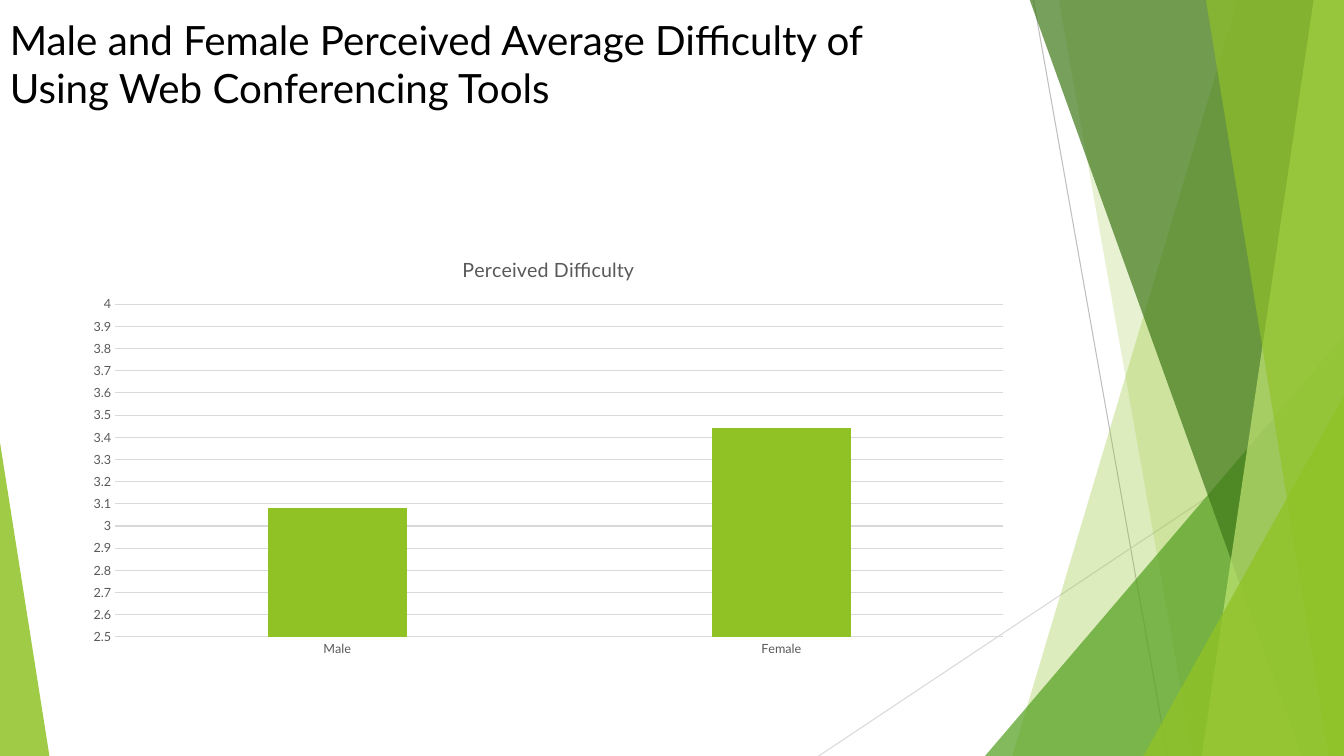
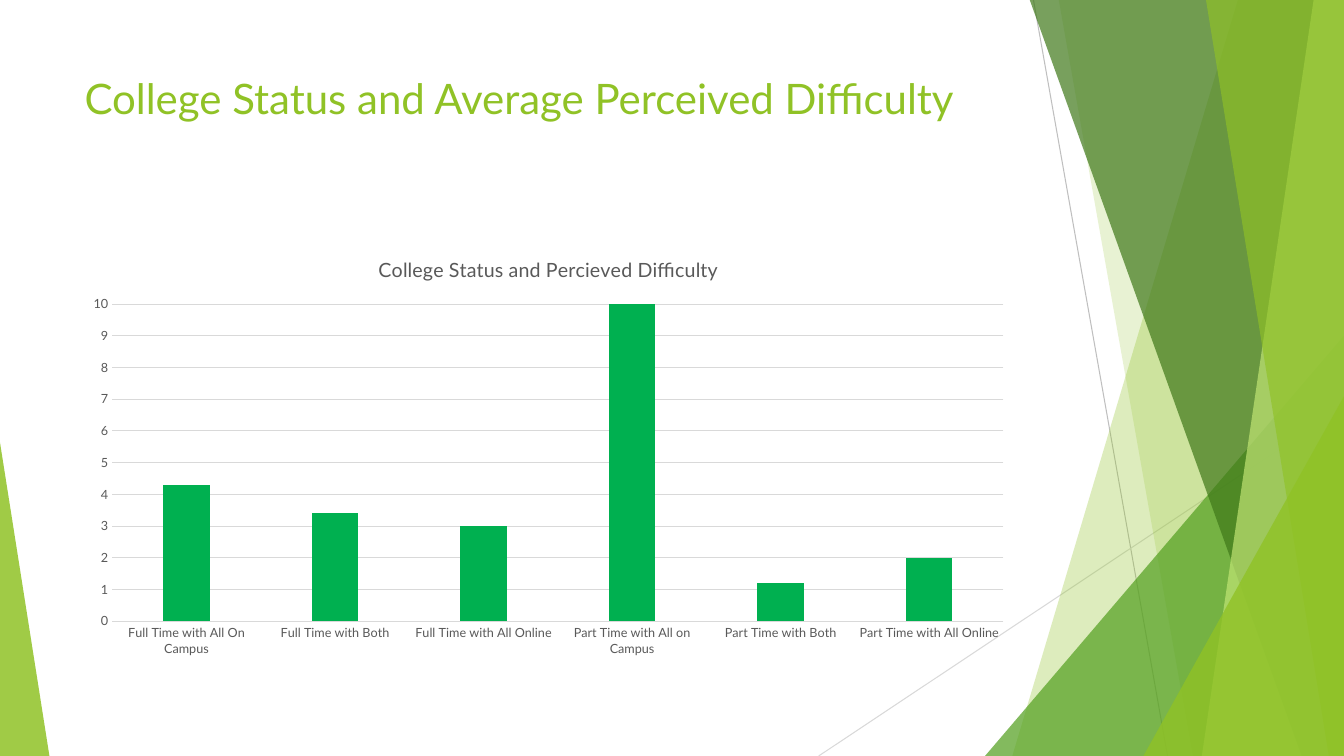
from lxml.etree import SubElement
from pptx import Presentation
from pptx.chart.data import CategoryChartData
from pptx.dml.color import RGBColor
from pptx.enum.chart import XL_CHART_TYPE as ChartType, XL_TICK_MARK as TickMark
from pptx.enum.shapes import MSO_CONNECTOR as Connector, MSO_SHAPE as Shape
from pptx.enum.text import MSO_ANCHOR as Anchor
from pptx.oxml.ns import qn
from pptx.util import Inches, Pt

BLACK = RGBColor(0x00, 0x00, 0x00)
LIME = RGBColor(0x90, 0xC2, 0x26)
PALE_LIME = RGBColor(0xC0, 0xE4, 0x74)
GREEN = RGBColor(0x54, 0xA0, 0x21)
DARK_GREEN = RGBColor(0x3F, 0x78, 0x19)
EMERALD = RGBColor(0x00, 0xB0, 0x50)
TEXT_GRAY = RGBColor(0x59, 0x59, 0x59)
LINE_GRAY = RGBColor(0xBF, 0xBF, 0xBF)
GRID_GRAY = RGBColor(0xD9, 0xD9, 0xD9)

FONT = "Lato"
WIDTH, HEIGHT = 13.33, 7.5
PANEL_TOP = -0.01
CHART_BOX = [Inches(value) for value in (0.74, 2.36, 9.4, 4.24)]

RAYS = [
    (10.25, 0, 11.58, HEIGHT, LINE_GRAY),
    (WIDTH, 4.03, 8.12, HEIGHT, GRID_GRAY),
]
FACETS = [
    ("panel", (12.28, 10.04), LIME, 30),
    ("panel", (10.5, 11.83), LIME, 20),
    ("triangle", (9.77, 3.33, 3.56, 1), GREEN, 72),
    ("panel", (10.21, 12.91), DARK_GREEN, 70),
    ("panel", (13.03, 11.92), PALE_LIME, 70),
    ("panel", (11.96, 13.18), LIME, 65),
    ("triangle", (11.34, 3.93, 1.99, 1), LIME, 80),
    ("triangle", (0, 4.39, 0.49, 0), LIME, 85),
]
SLIDES = [
    {
        "title": "Male and Female Perceived Average Difficulty of Using Web Conferencing Tools",
        "title_box": (0, 0.1, 9.4, 0.64),
        "title_font": {"size": Pt(28.8), "name": FONT},
        "title_color": BLACK,
        "chart_title": "Perceived Difficulty",
        "values": {"Male": 3.08, "Female": 3.44},
        "bar_color": LIME,
        "scale": {"minimum_scale": 2.5, "maximum_scale": 4, "major_unit": 0.1},
    },
    {
        "title": "College Status and Average Perceived Difficulty",
        "title_box": (0.74, 0.67, 9.4, 1.44),
        "title_font": {"size": Pt(30), "name": FONT},
        "title_color": LIME,
        "chart_title": "College Status and Percieved Difficulty",
        "values": {
            "Full Time with All On Campus": 4.3,
            "Full Time with Both": 3.4,
            "Full Time with All Online": 3,
            "Part Time with All on Campus": 10,
            "Part Time with Both": 1.2,
            "Part Time with All Online": 2,
        },
        "bar_color": EMERALD,
        "scale": {"minimum_scale": 0, "maximum_scale": 10, "major_unit": 1},
    },
]


def style(target, values, color=None):
    for name, value in values.items():
        setattr(target, name, value)
    if color is not None:
        target.color.rgb = color


def draw_backdrop(slide):
    for left, top, right, bottom, color in RAYS:
        ray = slide.shapes.add_connector(
            Connector.STRAIGHT, Inches(left), Inches(top), Inches(right), Inches(bottom))
        style(ray.line, {"width": Pt(0.75)}, color)
        SubElement(ray.element.spPr, qn("a:effectLst"))
    for kind, geometry, color, opacity in FACETS:
        if kind == "panel":
            top_left, bottom_left = geometry
            outline = slide.shapes.build_freeform(Inches(top_left), Inches(PANEL_TOP))
            corners = [(WIDTH, PANEL_TOP), (WIDTH, HEIGHT), (bottom_left, HEIGHT)]
            outline.add_line_segments([(Inches(x), Inches(y)) for x, y in corners])
            facet = outline.convert_to_shape()
        else:
            left, top, width, apex = geometry
            facet = slide.shapes.add_shape(
                Shape.ISOSCELES_TRIANGLE,
                Inches(left), Inches(top), Inches(width), Inches(HEIGHT - top))
            facet.adjustments[0] = apex
        facet.shadow.inherit = False
        facet.line.fill.background()
        facet.fill.solid()
        facet.fill.fore_color.rgb = color
        fill_color = facet.element.spPr.find(qn("a:solidFill")).find(qn("a:srgbClr"))
        SubElement(fill_color, qn("a:alpha"), val=str(opacity * 1000))


presentation = Presentation()
presentation.slide_width = Inches(WIDTH)
presentation.slide_height = Inches(HEIGHT)

for content in SLIDES:
    slide = presentation.slides.add_slide(presentation.slide_layouts[6])
    draw_backdrop(slide)

    title = slide.shapes.add_textbox(*[Inches(value) for value in content["title_box"]])
    style(title.text_frame, {
        "word_wrap": True, "vertical_anchor": Anchor.TOP, "text": content["title"]})
    run = title.text_frame.paragraphs[0].runs[0]
    style(run.font, content["title_font"], content["title_color"])

    data = CategoryChartData()
    data.categories = list(content["values"])
    data.add_series("Series 1", list(content["values"].values()))
    chart = slide.shapes.add_chart(ChartType.COLUMN_CLUSTERED, *CHART_BOX, data).chart
    style(chart, {"has_legend": False, "has_title": True})
    style(chart.font, {"size": Pt(10), "name": FONT}, BLACK)

    heading = chart.chart_title
    heading.include_in_layout = False
    heading.text_frame.text = content["chart_title"]
    run = heading.text_frame.paragraphs[0].runs[0]
    style(run.font, {"size": Pt(14), "name": FONT, "bold": False}, TEXT_GRAY)

    plot = chart.plots[0]
    style(plot, {"gap_width": 219, "overlap": -27, "vary_by_categories": False})
    bars = plot.series[0].format.fill
    bars.solid()
    bars.fore_color.rgb = content["bar_color"]

    for axis in (chart.category_axis, chart.value_axis):
        style(axis, {"major_tick_mark": TickMark.NONE, "minor_tick_mark": TickMark.NONE})
        style(axis.tick_labels.font, {"size": Pt(9), "name": FONT}, TEXT_GRAY)
    style(chart.category_axis.format.line, {"width": Pt(0.75)}, GRID_GRAY)
    style(chart.value_axis, {"has_major_gridlines": True, **content["scale"]})
    style(chart.value_axis.major_gridlines.format.line, {"width": Pt(0.75)}, GRID_GRAY)
    chart.value_axis.format.line.fill.background()

presentation.save("out.pptx")
